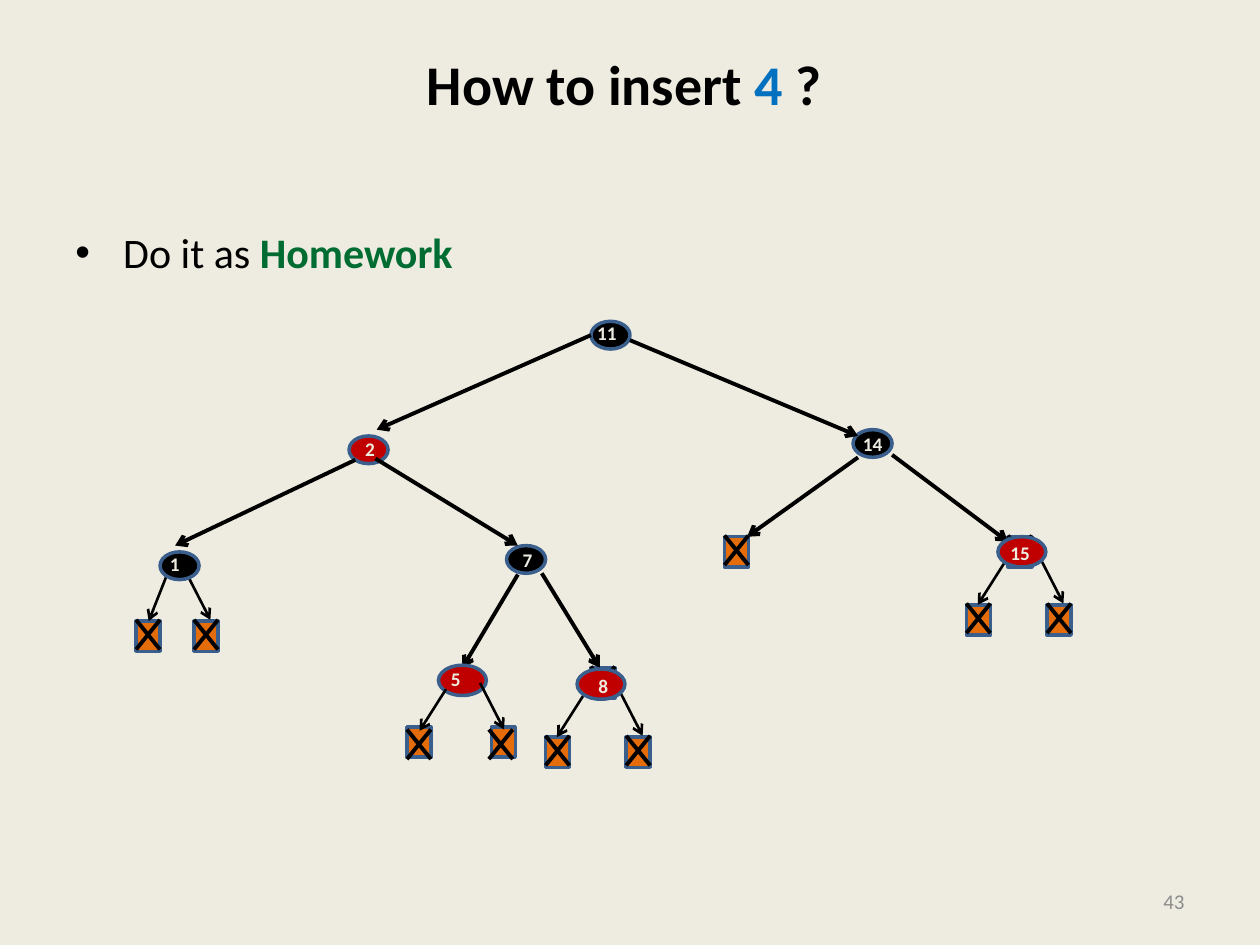
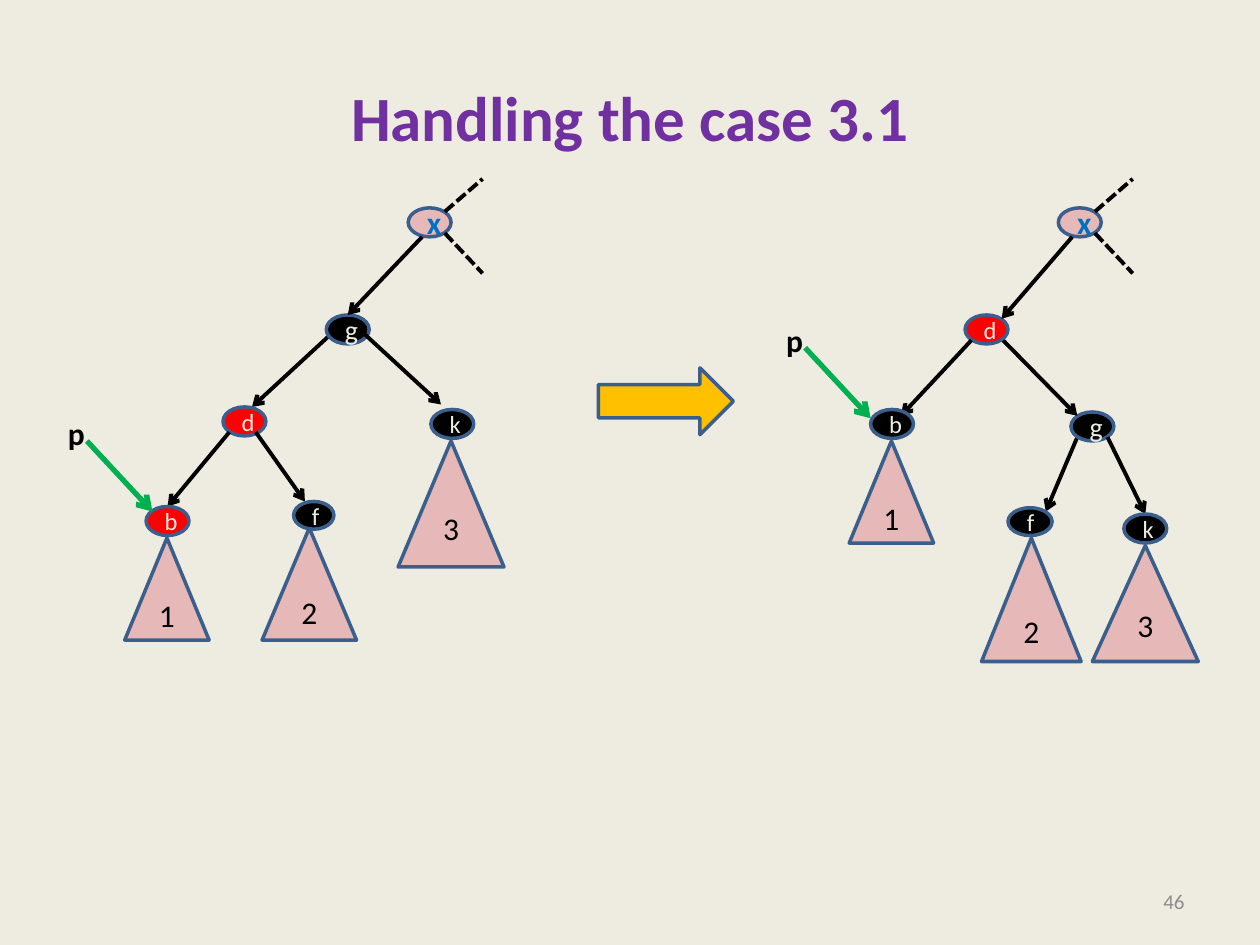
"""Two slides on red-black trees, laid out on a grid of 100 columns by 75 rows."""
from dataclasses import dataclass
from typing import Optional, Union

from lxml import etree
from pptx import Presentation
from pptx import util as u
from pptx.dml import color
from pptx.enum import dml, shapes, text
from pptx.oxml import ns

WIDE, HIGH = u.Inches(10), u.Inches(7.5)
COLS, ROWS = 100, 75
KIND = shapes.MSO_SHAPE
SIDE = text.PP_ALIGN
HOLD = text.MSO_ANCHOR


@dataclass(frozen=True)
class Theme:
    """Colours, font and type sizes."""
    font: str = "Calibri"
    back: str = "EEECE1"
    ink: str = "000000"
    pale: str = "EEECE1"
    rim: str = "3A5F8C"
    grey: str = "8C8C8C"
    blue: str = "0070C0"
    green: str = "006C31"
    mint: str = "00B050"
    plum: str = "7030A0"
    red: str = "FF0000"
    wine: str = "C00000"
    pink: str = "E6B9B8"
    rust: str = "E46C0A"
    gold: str = "FFC000"
    title: float = 32
    head: float = 36
    body: float = 24
    large: float = 18
    mid: float = 16
    key: float = 14
    foot: float = 12
    tiny: float = 11
    edge: float = 2.25
    thin: float = 1.5
    thick: float = 3
    rule: float = 2


LOOK = Theme()


def col(count: float) -> int:
    """Return the length of some columns."""
    return round(WIDE * count / COLS)


def row(count: float) -> int:
    """Return the length of some rows."""
    return round(HIGH * count / ROWS)


def rgb(code: str) -> color.RGBColor:
    """Return a colour from its hex code."""
    return color.RGBColor.from_string(code)


@dataclass(frozen=True)
class Word:
    """A run of text in one style."""
    said: str
    size: float
    tint: str = LOOK.ink
    bold: bool = False


def write(para, words: tuple) -> None:
    """Put words into a paragraph, then style the runs."""
    para.text = words[0].said
    for word in words[1:]:
        para.add_run().text = word.said
    for run, word in zip(para.runs, words):
        run.font.name = LOOK.font
        run.font.size = u.Pt(word.size)
        run.font.bold = word.bold
        run.font.color.rgb = rgb(word.tint)


@dataclass(frozen=True)
class Node:
    """A filled shape that may hold a word, raised by some rows."""
    kind: int
    x: float
    y: float
    w: float
    h: float
    fill: str
    word: Optional[Word] = None
    lift: float = 0

    def draw(self, slide) -> None:
        """Draw the shape."""
        shape = slide.shapes.add_shape(
            self.kind, col(self.x), row(self.y), col(self.w), row(self.h))
        shape.shadow.inherit = False
        shape.fill.solid()
        shape.fill.fore_color.rgb = rgb(self.fill)
        shape.line.color.rgb = rgb(LOOK.rim)
        shape.line.width = u.Pt(LOOK.rule)
        if self.word:
            frame = shape.text_frame
            frame.vertical_anchor = HOLD.MIDDLE
            frame.margin_bottom = row(0.5 + self.lift)
            frame.paragraphs[0].alignment = SIDE.CENTER
            write(frame.paragraphs[0], (self.word,))


@dataclass(frozen=True)
class Edge:
    """A straight line, with or without a head."""
    x: float
    y: float
    to_x: float
    to_y: float
    width: float = LOOK.edge
    head: bool = True
    dash: bool = False
    tint: str = LOOK.ink

    def draw(self, slide) -> None:
        """Draw the line."""
        link = slide.shapes.add_connector(
            shapes.MSO_CONNECTOR.STRAIGHT,
            col(self.x), row(self.y), col(self.to_x), row(self.to_y))
        link.line.color.rgb = rgb(self.tint)
        link.line.width = u.Pt(self.width)
        if self.dash:
            link.line.dash_style = dml.MSO_LINE.SQUARE_DOT
        props = link.element.spPr
        if self.head:
            line = props.find(ns.qn("a:ln"))
            etree.SubElement(line, ns.qn("a:tailEnd"), type="arrow")
        etree.SubElement(props, ns.qn("a:effectLst"))


@dataclass(frozen=True)
class Label:
    """A text box of one paragraph, raised by some rows."""
    x: float
    y: float
    w: float
    h: float
    words: tuple
    side: int = SIDE.LEFT
    hold: int = HOLD.TOP
    lift: float = 0
    dot: bool = False

    def draw(self, slide) -> None:
        """Draw the text box."""
        box = slide.shapes.add_textbox(
            col(self.x), row(self.y), col(self.w), row(self.h))
        frame = box.text_frame
        frame.word_wrap = True
        frame.vertical_anchor = self.hold
        frame.margin_bottom = row(0.5 + self.lift)
        if self.side == SIDE.LEFT:
            frame.margin_right = 0
        para = frame.paragraphs[0]
        para.alignment = self.side
        if self.dot:
            props = para._p.get_or_add_pPr()
            props.set("marL", str(col(3.8)))
            props.set("indent", str(-col(3.8)))
            etree.SubElement(props, ns.qn("a:buFont"), typeface="Arial")
            etree.SubElement(props, ns.qn("a:buChar"), char="•")
        write(para, self.words)


Item = Union[Node, Edge, Label]


def leaf(x: float, y: float, dx: float = 0, dy: float = -0.1) -> list[Item]:
    """Return a null leaf: a box under a cross."""
    left, top = x + dx, y + dy
    right, base = left + 1.9, top + 2.35
    return [Node(KIND.RECTANGLE, x, y, 1.9, 2.4, LOOK.rust),
            Edge(right, top, left, base, head=False),
            Edge(left, top, right, base, head=False)]


def twig(x: float, y: float, to_x: float, to_y: float) -> Edge:
    """Return a thin arrow to a leaf."""
    return Edge(x, y, to_x, to_y, LOOK.thin)


def spot(x: float, y: float, fill: str = LOOK.ink) -> Node:
    """Return a small tree node."""
    return Node(KIND.OVAL, x, y, 3.1, 2.2, fill)


def plum(x: float, y: float) -> Node:
    """Return a wide red node."""
    return Node(KIND.OVAL, x, y, 3.8, 2.4, LOOK.wine)


def key(said: str, x: float, y: float, w: float = 2.8) -> Label:
    """Return the number on a node."""
    return Label(x, y, w, 2.9, (Word(said, LOOK.tiny, LOOK.pale, True),))


def brood(x: float, y: float) -> list[Item]:
    """Return a red node over two leaves."""
    return [*leaf(x, y), twig(x + 3, y - 3.3, x + 0.9, y),
            *leaf(x + 6.4, y), twig(x + 5.8, y - 3.8, x + 7.7, y - 0.1),
            plum(x + 2.5, y - 5.4)]


def ball(said: str, x: float, y: float, fill: str = LOOK.ink,
         size: float = LOOK.key, w: float = 3.4, h: float = 2.3) -> Node:
    """Return a node with its letter."""
    return Node(KIND.OVAL, x, y, w, h, fill, Word(said, size, LOOK.pale))


def tree(said: str, x: float, y: float, w: float, h: float,
         lift: float = 0) -> Node:
    """Return a subtree triangle."""
    return Node(KIND.ISOSCELES_TRIANGLE, x, y, w, h, LOOK.pink,
                Word(said, LOOK.large), lift)


def root(x: float) -> list[Item]:
    """Return node x with its two dashed links."""
    y = 16.5
    name = Word("x", LOOK.large, LOOK.blue, True)
    return [Node(KIND.OVAL, x, y, 3.4, 2.3, LOOK.pink, name),
            Edge(x + 2.9, y + 0.3, x + 5.9, y - 2.3, head=False, dash=True),
            Edge(x + 2.9, y + 2, x + 5.9, y + 5.2, head=False, dash=True)]


def mark(x: float, y: float) -> list[Item]:
    """Return pointer p with its green arrow."""
    return [Edge(x + 2.5, y + 2.6, x + 7.7, y + 8.2, LOOK.thick,
                 tint=LOOK.mint),
            Label(x, y, 3.4, 4, (Word("p", LOOK.large, bold=True),))]


def task() -> list[Item]:
    """Return the parts of the homework slide."""
    return [
        Label(0.8, 3, 97.5, 12.5,
              (Word("How to insert ", LOOK.title, bold=True),
               Word("4 ", LOOK.title, LOOK.blue, True),
               Word("?", LOOK.title, bold=True)),
              SIDE.CENTER, HOLD.MIDDLE, lift=5.3),
        Label(5, 17.5, 90, 49.5,
              (Word("Do it as ", LOOK.body),
               Word("Homework", LOOK.body, LOOK.green, True)), dot=True),
        *leaf(10.8, 49.3), twig(13.3, 45.5, 11.8, 49.3),
        *leaf(15.4, 49.3), twig(14.8, 45.5, 16.7, 49.2),
        *leaf(46.9, 53), *leaf(80, 42.6),
        spot(46.9, 25.5), spot(67.7, 34.1), spot(40.2, 43.3),
        spot(27.7, 34.6, LOOK.wine), spot(12.7, 43.8),
        Edge(46.9, 26.6, 29.9, 34.1), Edge(28.2, 36.5, 13.9, 43.3),
        Edge(41.1, 45.6, 36.7, 53), Edge(68.1, 36.3, 59.3, 42.6),
        Edge(70.8, 36.1, 80, 43), Edge(29.8, 36.4, 41.1, 43.3),
        Edge(43, 45.5, 47.6, 53), Edge(50, 27, 68.1, 34.6),
        key("11", 46.4, 25, 3.6), key("14", 67.5, 33.8, 3.6),
        key("1", 12.5, 43.3), key("2", 28, 34.2), key("7", 40.5, 43),
        *brood(76.7, 48), key("15", 79.2, 42.5, 4.3),
        *brood(43.3, 58.5), key("8", 46.5, 53, 4.3),
        plum(34.8, 52.8), *leaf(32.3, 57.7, dy=0.2),
        *leaf(39, 57.7, -0.2, 0.2),
        twig(35.4, 54.7, 33.3, 58), twig(38.1, 54.2, 40, 57.9),
        key("5", 34.8, 52.5, 4.3), *leaf(57.5, 42.6)]


def case() -> list[Item]:
    """Return the parts of the rotation slide."""
    return [
        Label(5, 3, 90, 12.5,
              (Word("Handling the case 3.1", LOOK.head, LOOK.plum, True),),
              SIDE.CENTER, HOLD.MIDDLE),
        Node(KIND.RIGHT_ARROW, 47.5, 29.2, 10.7, 5.3, LOOK.gold),
        Edge(26.5, 26.3, 20, 32.3), ball("g", 25.9, 25, size=LOOK.mid),
        Edge(28.7, 26.3, 35, 32.1), ball("d", 17.7, 32.3, LOOK.red),
        Edge(18.2, 34.3, 13.3, 40.2), *root(32.4),
        Edge(33.5, 18.8, 27.6, 25), ball("b", 11.6, 40.2, LOOK.red),
        ball("k", 34.2, 32.5), tree("2", 20.8, 41.9, 7.5, 8.9),
        Edge(20.3, 34.3, 24.2, 39.8), tree("1", 9.9, 42.7, 6.7, 8.1),
        tree("3", 31.6, 35, 8.4, 10, lift=1.2),
        ball("f", 23.3, 39.8, w=3.2, h=2.2),
        Edge(85.5, 34.7, 83, 40.6), ball("g", 85, 32.7, size=LOOK.mid),
        Edge(87.9, 34.7, 90.9, 40.8), tree("2", 77.9, 42.7, 7.9, 9.8),
        Edge(79.5, 26.9, 85.5, 33), ball("d", 76.6, 25, LOOK.red),
        Edge(77.1, 27, 71.5, 33), *root(84),
        Edge(85.1, 18.8, 79.5, 25.3), ball("b", 69.1, 32.5),
        ball("k", 89.2, 40.8), ball("f", 80, 40.3, w=3.5, h=2.2),
        tree("1", 67.4, 35, 6.7, 8.1),
        tree("3", 86.7, 43.3, 8.4, 9.2, lift=1.2),
        *mark(61.4, 25), *mark(4.4, 32.4)]


def main() -> None:
    """Build and save the deck."""
    deck = Presentation()
    deck.slide_width, deck.slide_height = WIDE, HIGH
    for page, items in (("43", task()), ("46", case())):
        slide = deck.slides.add_slide(deck.slide_layouts[6])
        slide.background.fill.solid()
        slide.background.fill.fore_color.rgb = rgb(LOOK.back)
        foot = Label(71.7, 69.5, 23.3, 4, (Word(page, LOOK.foot, LOOK.grey),),
                     SIDE.RIGHT, HOLD.MIDDLE)
        for item in (*items, foot):
            item.draw(slide)
    deck.save("out.pptx")


if __name__ == "__main__":
    main()
